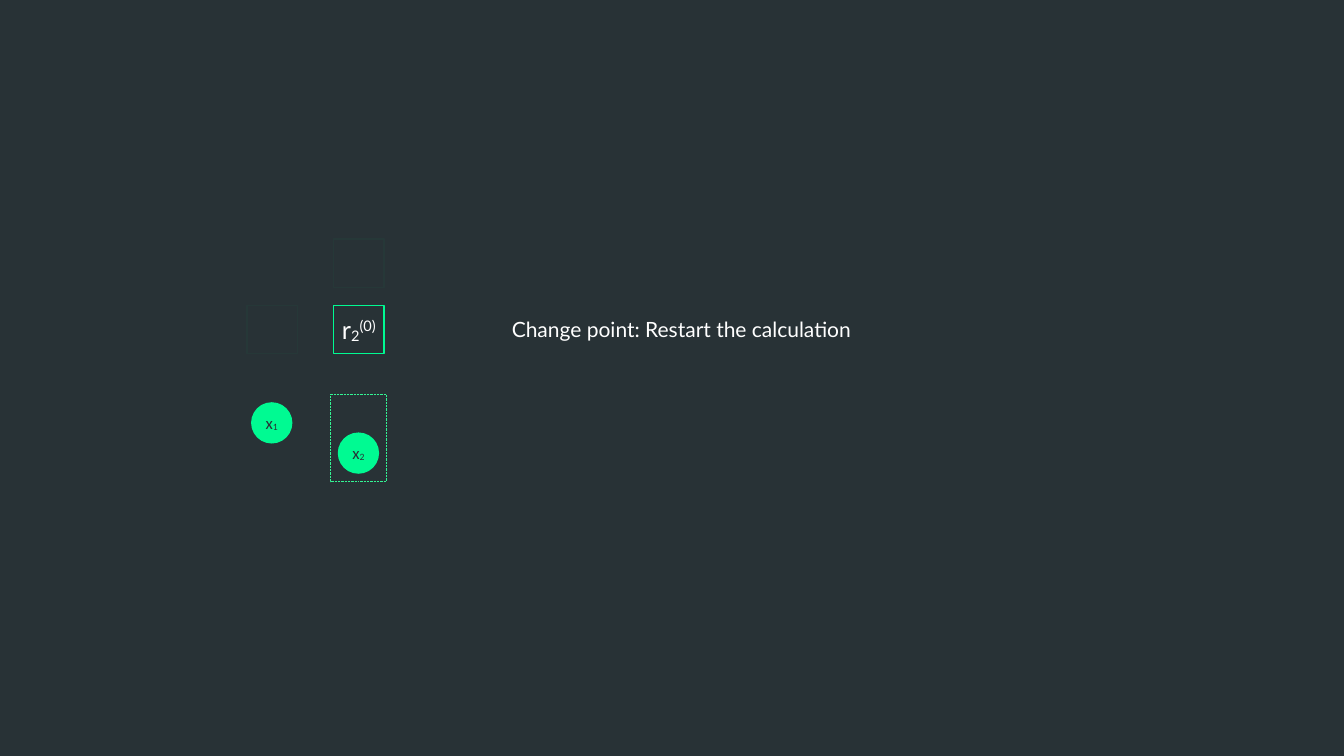
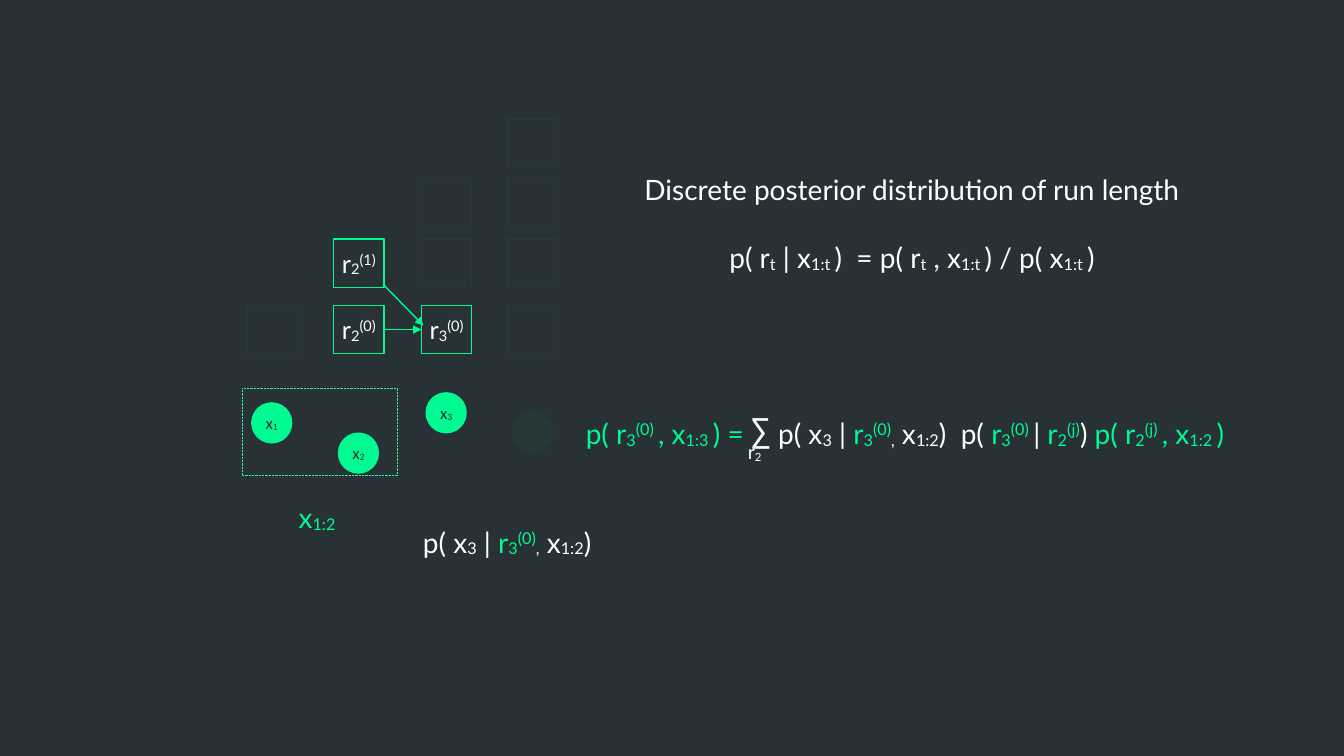
from lxml.etree import SubElement
from pptx import Presentation
from pptx.dml.color import RGBColor
from pptx.enum.dml import MSO_LINE
from pptx.enum.shapes import MSO_CONNECTOR, MSO_SHAPE
from pptx.enum.text import MSO_ANCHOR, MSO_AUTO_SIZE, PP_ALIGN
from pptx.oxml.ns import qn
from pptx.util import Inches, Pt

DARK = RGBColor(0x28, 0x32, 0x36)
GREEN = RGBColor(0x00, 0xFA, 0x92)
MINT = RGBColor(0x33, 0xF5, 0x94)
WHITE = RGBColor(0xFF, 0xFF, 0xFF)

COLS = (2.45, 3.31, 4.18, 5.04)
ROWS = (3.03, 2.37, 1.77, 1.18)
DOTS = (3.99, 4.29, 3.89, 4.08)
BASES = {"_": "-6000", "^": "32000"}


def write(shape, text, size=20, font="Lato", color=WHITE, anchor=MSO_ANCHOR.MIDDLE, wrap=True):
    frame = shape.text_frame
    frame.word_wrap = wrap
    frame.auto_size = MSO_AUTO_SIZE.NONE
    frame.vertical_anchor = anchor
    frame.margin_left = frame.margin_right = Inches(0.05)
    frame.margin_top = frame.margin_bottom = Inches(0.05)
    para = frame.paragraphs[0]
    para.alignment = PP_ALIGN.CENTER
    for piece in text.split("`"):
        tint = GREEN if piece.startswith("*") else color
        piece = piece.removeprefix("*")
        base = BASES.get(piece[0])
        run = para.add_run()
        run.text = piece[1:] if base else piece
        sigma = piece.startswith("∑")
        run.font.name = "Roboto Condensed" if sigma else font
        run.font.size = Pt(26 if sigma else size)
        run.font.color.rgb = tint
        if base:
            run.font._element.set("baseline", base)


def draw(slide, kind, place, fill=None, line=None, width=1, alpha=None):
    shape = slide.shapes.add_shape(kind, *map(Inches, place))
    shape.shadow.inherit = False
    if fill is None:
        shape.fill.background()
    else:
        shape.fill.solid()
        shape.fill.fore_color.rgb = fill
    if line is None:
        shape.line.fill.background()
    else:
        shape.line.color.rgb = line
        shape.line.width = Pt(width)
    if alpha:
        tone = shape._element.spPr.find(qn("a:solidFill"))[0]
        SubElement(tone, qn("a:alpha"), val=str(alpha * 1000))
    return shape


deck = Presentation()
deck.slide_width = Inches(13.33)
deck.slide_height = Inches(7.5)
back = deck.slide_master.background.fill
back.solid()
back.fore_color.rgb = DARK

PAGES = [
    {
        "title": ("Change point: Restart the calculation", 15, (4.16, 3.08, 5.2, 0.38)),
        "cells": {(0, 0): "", (1, 0): "r`_2`^(0)", (1, 1): ""},
        "dots": ("x`_1", "x`_2"),
        "veils": [(2.11, 2.27, 2.09, 0.69), (1.19, 2.92, 2.09, 0.69)],
        "frame": (3.28, 3.91, 0.55, 0.87),
    },
    {
        "title": ("Discrete posterior distribution of run length", 20, (5.84, 1.63, 6.41, 0.5)),
        "cells": {
            (0, 0): "", (1, 0): "r`_2`^(0)", (1, 1): "r`_2`^(1)",
            (2, 0): "r`_3`^(0)", (2, 1): "", (2, 2): "",
            (3, 0): "", (3, 1): "", (3, 2): "", (3, 3): "",
        },
        "dots": ("x`_1", "x`_2", "x`_3", ""),
        "veils": [(4.91, 0.8, 0.75, 4.18), (2.23, 2.27, 0.93, 1.26), (3.96, 1.76, 0.94, 1.26)],
        "frame": (2.4, 3.85, 1.54, 0.87),
    },
]

for page in PAGES:
    slide = deck.slides.add_slide(deck.slide_layouts[5])
    cells = {}
    for (col, row), text in page["cells"].items():
        cell = draw(slide, MSO_SHAPE.RECTANGLE, (COLS[col], ROWS[row], 0.5, 0.48), line=GREEN)
        cells[col, row] = cell
        if text:
            write(cell, text, size=18, wrap=False)
    for left, top, text in zip(COLS, DOTS, page["dots"]):
        dot = draw(slide, MSO_SHAPE.OVAL, (left + 0.04, top, 0.41, 0.41), fill=GREEN)
        if text:
            write(dot, text, size=12, font="Calibri", color=DARK)
    for place in page["veils"]:
        draw(slide, MSO_SHAPE.RECTANGLE, place, fill=DARK, alpha=97)
    frame = draw(slide, MSO_SHAPE.RECTANGLE, page["frame"], line=MINT, width=0.5)
    frame.line.dash_style = MSO_LINE.ROUND_DOT

    text, size, place = page["title"]
    title = slide.shapes.title
    title.left, title.top, title.width, title.height = map(Inches, place)
    write(title, text, size=size)

LIKELY = "p( x`_3` | `*r`*_3`*^(0)`_,` x`_1:2`)"
JOINT = (
    "*p( r`*_3`*^(0) `*, x`*_1:3 `*) = `∑ `" + LIKELY
    + "`  p( `*r`*_3`*^(0) `| `*r`*_2`*^(j)`)`* p( r`*_2`*^(j) `*, x`*_1:2 `*)"
)
NOTES = [
    ("p( r`_t` | x`_1:t `)  = p( r`_t` , x`_1:t `) / p( x`_1:t `)", (5.24, 2.34, 7.61, 0.5), 20),
    (JOINT, (5.17, 4, 7.61, 0.55), 20),
    ("*x`*_1:2", (2.86, 4.92, 0.57, 0.48), 20),
    (LIKELY, (4.06, 5.16, 1.94, 0.48), 20),
    ("r`_2", (7.36, 4.32, 0.25, 0.36), 14),
]
for text, place, size in NOTES:
    box = slide.shapes.add_textbox(*map(Inches, place))
    write(box, text, size=size, anchor=MSO_ANCHOR.TOP, wrap=False)

for start in (2.83, 3.27):
    ends = map(Inches, (3.81, start, 4.2, 3.23))
    arrow = slide.shapes.add_connector(MSO_CONNECTOR.STRAIGHT, *ends)
    if start > 3:
        arrow.begin_connect(cells[1, 0], 3)
        arrow.end_connect(cells[2, 0], 1)
    arrow.line.color.rgb = GREEN
    arrow.line.width = Pt(1)
    SubElement(arrow.line._get_or_add_ln(), qn("a:tailEnd"), type="triangle")
    SubElement(arrow._element.spPr, qn("a:effectLst"))

deck.save("out.pptx")
